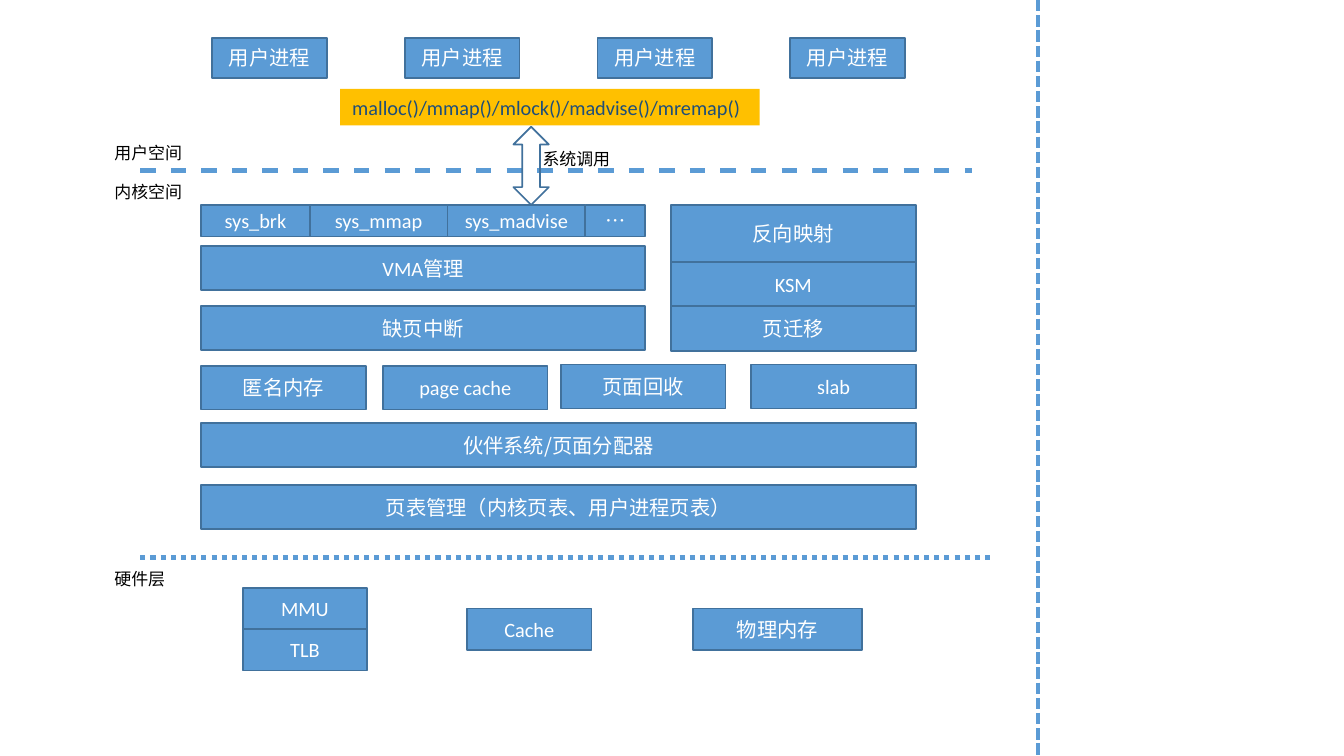
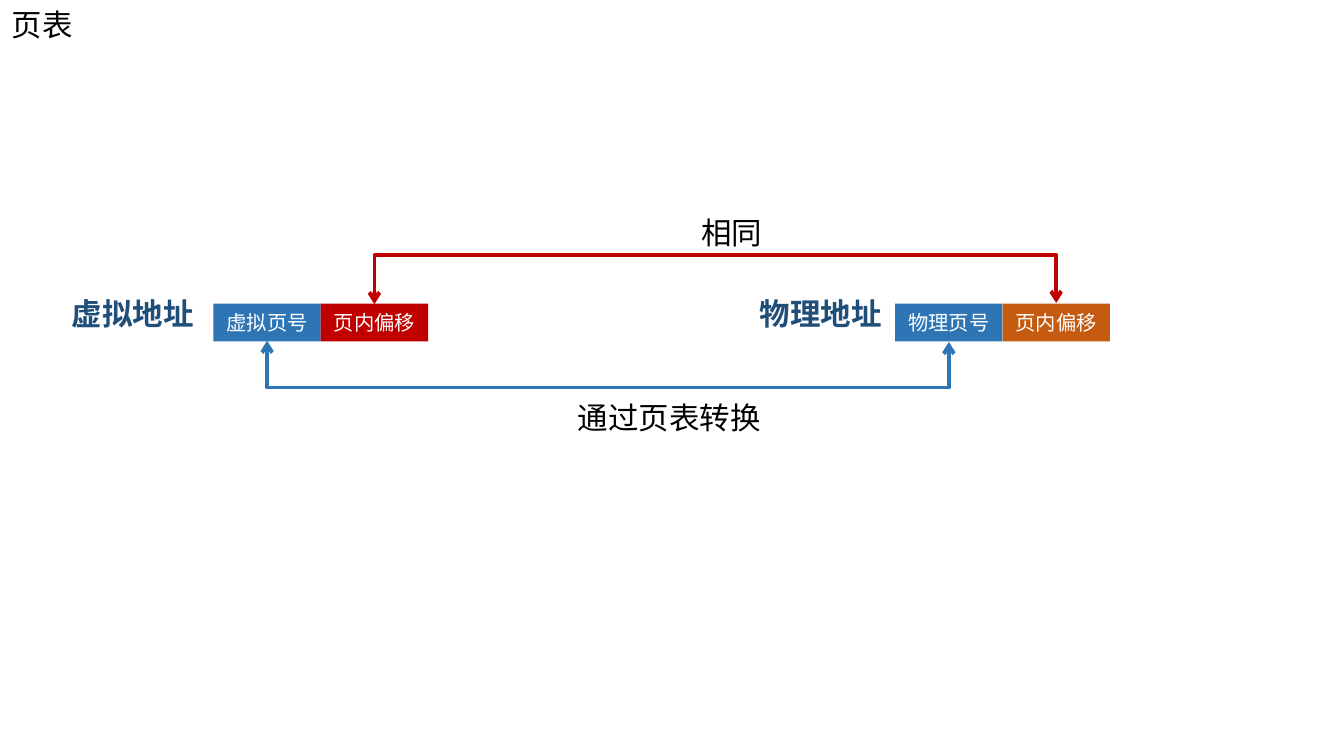
from dataclasses import dataclass
from pptx import Presentation
from pptx.dml.color import RGBColor
from pptx.enum.shapes import MSO_CONNECTOR as Conn, MSO_SHAPE as Kind
from pptx.enum.text import MSO_ANCHOR as Anchor, PP_ALIGN as Align
from pptx.oxml.ns import qn
from pptx.oxml.xmlchemy import OxmlElement as Node
from pptx.util import Inches, Pt


@dataclass(frozen=True)
class Theme:
    blue: str = "5B9BD5"
    edge: str = "41719C"
    gold: str = "FFC000"
    navy: str = "1F4E79"
    page: str = "2E75B6"
    red: str = "C00000"
    rust: str = "C55A11"
    white: str = "FFFFFF"
    black: str = "000000"
    latin: str = "Calibri"
    asian: str = "Noto Sans CJK SC"
    big: int = 18
    mid: int = 12
    small: int = 10


T = Theme()
WIDE, HIGH = 11.02, 6.2

# Layer diagram: the kernel block spans LEFT to RIGHT, split by a gutter
LEFT, CORE, SIDE, RIGHT = 1.65, 5.29, 5.5, 7.51
FULL, MAIN, WING = RIGHT - LEFT, CORE - LEFT, RIGHT - SIDE
BAR, CELL, CHIP = 0.36, 1.35, 1.02

USERS = ["用户进程"] * 4
CALLS = [("sys_brk", 0.89), ("sys_mmap", 1.13), ("sys_madvise", 1.13), ("…", 0.49)]
STACK = [("反向映射", 0.47), ("KSM", 0.36), ("页迁移", 0.37)]
BARS = [  # text, top, width
    ("VMA管理", 2.02, MAIN),
    ("缺页中断", 2.51, MAIN),
    ("伙伴系统/页面分配器", 3.47, FULL),
    ("页表管理（内核页表、用户进程页表）", 3.98, FULL),
]
CELLS = [  # text, left, top
    ("匿名内存", LEFT, 3), ("page cache", 3.14, 3),
    ("页面回收", 4.6, 2.99), ("slab", RIGHT - CELL, 2.99),
]
CHIPS = [  # text, left, top, width
    ("MMU", 1.99, 4.82, CHIP), ("TLB", 1.99, 5.16, CHIP),
    ("Cache", 3.83, 4.99, CHIP), ("物理内存", 5.68, 4.99, 1.39),
]
API = "malloc()/mmap()/mlock()/madvise()/mremap()"
NOTES = [("系统调用", 4.35, 1.17), ("用户空间", 0.84, 1.12),
         ("内核空间", 0.84, 1.44), ("硬件层", 0.84, 4.61)]
RULES = [  # start, end, width, dash
    ((1.15, 1.4), (7.97, 1.4), 3, (3, 3)),
    ((1.15, 4.57), (8.15, 4.57), 3, (1, 1)),
    ((8.51, 0), (8.51, HIGH), 2.25, (3, 1)),
]

# Page table: two addresses, each a page number and an offset
PART, PART_H, PART_Y = 0.88, 0.31, 2.49
NAMES = [  # label, label left, parts left, parts
    ("虚拟地址", 0.49, 1.75, [("虚拟页号", T.page), ("页内偏移", T.red)]),
    ("物理地址", 6.13, 7.34, [("物理页号", T.page), ("页内偏移", T.rust)]),
]
LINKS = [  # part index, upward, depth, colour, text, text box
    (1, True, 0.41, T.red, "相同", (5.65, 1.71, 0.71, 0.4)),
    (0, False, 0.39, T.page, "通过页表转换", (4.64, 3.22, 1.72, 0.4)),
]


def rgb(code):
    return RGBColor.from_string(code)


def put(item, **vals):
    for key, val in vals.items():
        setattr(item, key, val)


def child(parent, tag, **attrs):
    node = Node(tag)
    for key, val in attrs.items():
        node.set(key, str(val))
    parent.append(node)
    return node


def write(shape, text, size, color, bold=False, wrap=True,
          align=Align.LEFT, anchor=Anchor.TOP):
    frame = shape.text_frame
    put(frame, word_wrap=wrap, vertical_anchor=anchor)
    para = frame.paragraphs[0]
    para.alignment = align
    run = para.add_run()
    run.text = text
    face = T.latin if text[0].isascii() else T.asian
    put(run.font, name=face, size=Pt(size), bold=bold)
    run.font.color.rgb = rgb(color)
    child(run.font._element, "a:ea", typeface=T.asian)


def label(shapes, text, area, size=T.big, color=T.black, **style):
    box = shapes.add_textbox(*map(Inches, area))
    write(box, text, size, color, **style)


def block(shapes, area, fill=T.blue, edge=T.edge, kind=Kind.RECTANGLE):
    shape = shapes.add_shape(kind, *map(Inches, area))
    shape.shadow.inherit = False
    if fill:
        shape.fill.solid()
        shape.fill.fore_color.rgb = rgb(fill)
    else:
        shape.fill.background()
    if edge:
        shape.line.color.rgb = rgb(edge)
        shape.line.width = Pt(1)
    else:
        shape.line.fill.background()
    return shape


def box(shapes, text, area, **look):
    write(block(shapes, area, **look), text, T.mid, T.white,
          align=Align.CENTER, anchor=Anchor.MIDDLE)


def line(shapes, kind, start, end, color, width):
    wire = shapes.add_connector(kind, *map(Inches, (*start, *end)))
    wire.line.color.rgb = rgb(color)
    wire.line.width = Pt(width)
    child(wire._element.spPr, "a:effectLst")
    return wire


def rule(shapes, start, end, width, dash):
    """Dashed line; dash is (mark, gap) in line widths."""
    wire = line(shapes, Conn.STRAIGHT, start, end, T.blue, width)
    marks = child(wire.line._get_or_add_ln(), "a:custDash")
    mark, gap = dash
    child(marks, "a:ds", d=mark * 100000, sp=gap * 100000)


def bend(shapes, x1, x2, y, depth, up, color):
    """U-shaped double arrow: an elbow turned on its side, bulging by depth."""
    thin, span = 0.01, x2 - x1
    left, top = (x1 + x2 - thin) / 2, y - span / 2
    wire = line(shapes, Conn.ELBOW, (left, top), (left + thin, top + span), color, 2.25)
    props = wire._element.spPr
    turn = {"rot": "5400000", "flipH": "1", "flipV": "1"} if up else {
        "rot": "16200000", "flipH": "1"}
    for key, val in turn.items():
        props.find(qn("a:xfrm")).set(key, val)
    child(props.find(qn("a:prstGeom")).find(qn("a:avLst")), "a:gd",
          name="adj1", fmla=f"val {round(depth / thin * 100000)}")
    for tag in ("a:headEnd", "a:tailEnd"):
        child(wire.line._get_or_add_ln(), tag, type="arrow")


def layers(shapes):
    for i, text in enumerate(USERS):
        box(shapes, text, (1.74 + 1.58 * i, 0.31, 0.94, 0.33))
    for args in RULES:
        rule(shapes, *args)
    for text, x, y, wide in CHIPS:
        box(shapes, text, (x, y, wide, 0.34))
    x = LEFT
    for text, wide in CALLS:
        box(shapes, text, (x, 1.68, wide, 0.26))
        x += wide
    for text, y, wide in BARS:
        box(shapes, text, (LEFT, y, wide, BAR))
    for text, x, y in CELLS:
        box(shapes, text, (x, y, CELL, BAR))
    y = 1.68
    for text, high in STACK:
        box(shapes, text, (SIDE, y, WING, high))
        y += high
    block(shapes, (4.21, 1.04, 0.29, 0.64), fill=None, kind=Kind.UP_DOWN_ARROW)
    write(block(shapes, (2.79, 0.73, 3.44, 0.3), T.gold, None), API, T.mid, T.navy)
    for text, x, y in NOTES:
        label(shapes, text, (x, y, 0.78, 0.27), T.small)


def table(shapes):
    label(shapes, "页表", (0, 0, 1.83, 0.4))
    for name, x, start, parts in NAMES:
        group = shapes.add_group_shape().shapes
        label(group, name, (x, 2.37, 1.21, 0.55), color=T.navy, bold=True, wrap=False)
        for i, (text, fill) in enumerate(parts):
            box(group, text, (start + i * PART, PART_Y, PART, PART_H),
                fill=fill, edge=None)
    for i, up, depth, color, text, area in LINKS:
        x1, x2 = (start + (i + 0.5) * PART for _, _, start, _ in NAMES)
        bend(shapes, x1, x2, PART_Y if up else PART_Y + PART_H, depth, up, color)
        label(shapes, text, area, wrap=False)


def main():
    deck = Presentation()
    put(deck, slide_width=Inches(WIDE), slide_height=Inches(HIGH))
    for draw in (layers, table):
        draw(deck.slides.add_slide(deck.slide_layouts[6]).shapes)
    deck.save("out.pptx")


if __name__ == "__main__":
    main()
